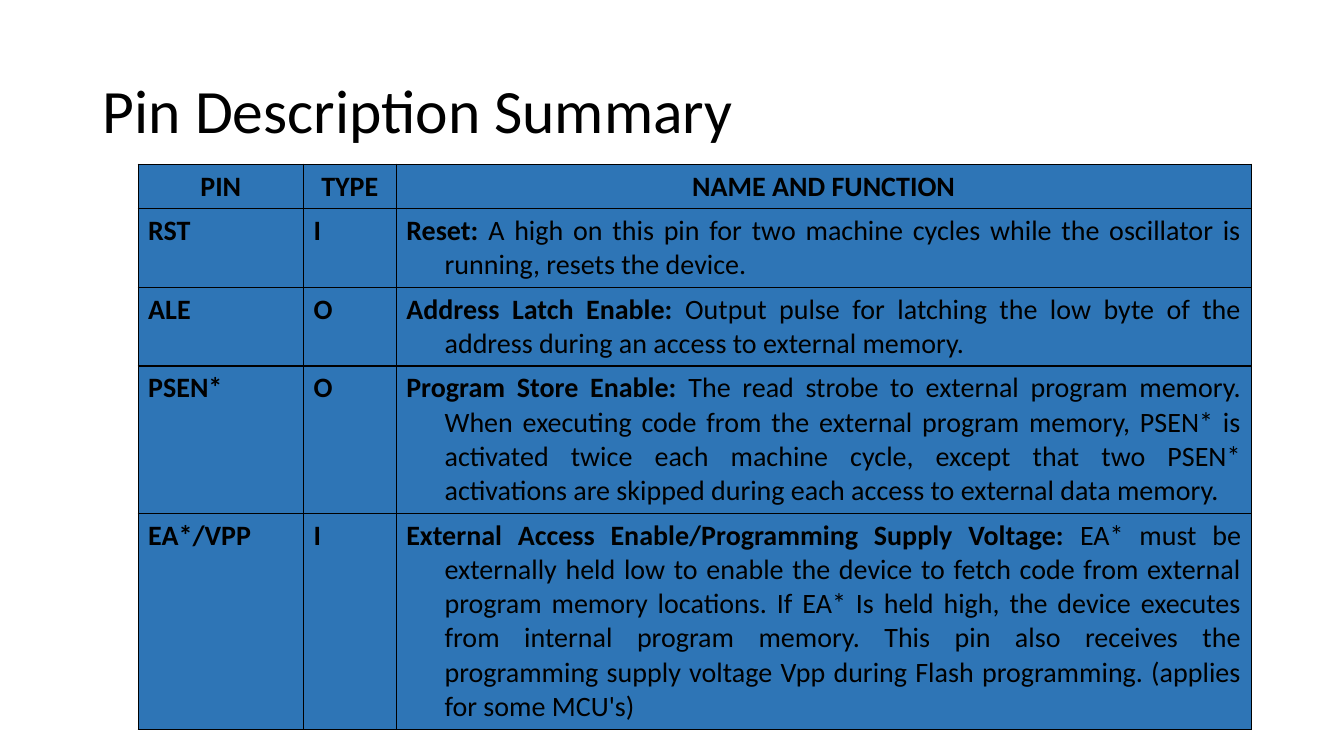
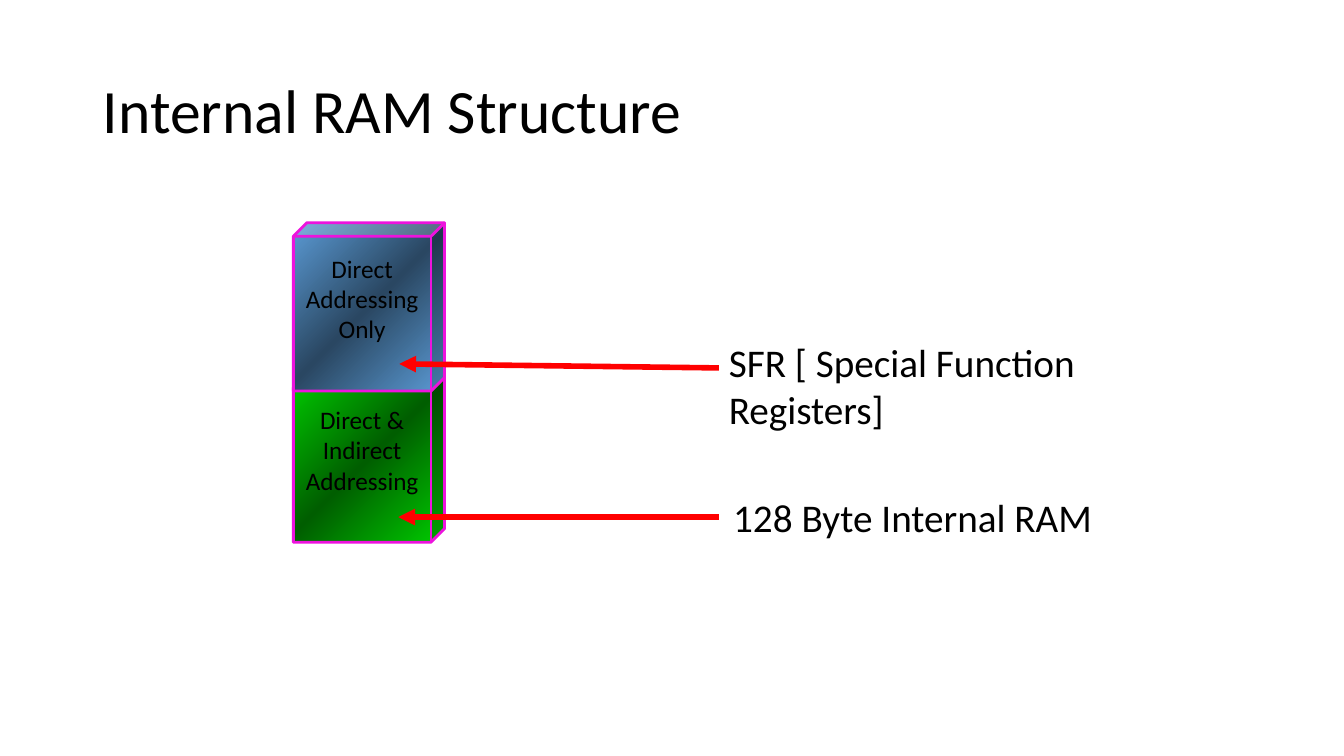
import copy
import pptx
import pptx.util
import pptx.dml.color
import pptx.enum.shapes
import pptx.enum.text
import pptx.oxml
import pptx.oxml.ns

Inches = pptx.util.Inches
Pt = pptx.util.Pt
Align = pptx.enum.text.PP_ALIGN
Anchor = pptx.enum.text.MSO_ANCHOR

COLORS = {
    "ink": "000000", "cell": "2E75B6", "edge": "ED13DD", "arrow": "FF0000",
    "blue": "5B9BD5", "navy": "2A4762", "green": "00CC00", "moss": "005E00",
}


def rgb(name):
    return pptx.dml.color.RGBColor.from_string(COLORS[name])


def node(text):
    return pptx.oxml.parse_xml(text.replace(
        "{ns}", pptx.oxml.ns.nsdecls("a")))


class Deck:
    font = "Calibri"

    def __init__(self):
        self.prs = pptx.Presentation()
        self.prs.slide_width = Inches(13.33)
        self.prs.slide_height = Inches(7.5)
        self.slide = None

    def style(self, para, size, align=Align.LEFT):
        para.alignment = align
        para.font.name = self.font
        para.font.size = Pt(size)
        para.font.color.rgb = rgb("ink")

    def page(self, title):
        self.slide = self.prs.slides.add_slide(self.prs.slide_layouts[5])
        head = self.slide.shapes.title
        head.left, head.top = Inches(0.92), Inches(0.4)
        head.width, head.height = Inches(11.5), Inches(1.45)
        head.text_frame.text = title
        head.text_frame.vertical_anchor = Anchor.MIDDLE
        para = head.text_frame.paragraphs[0]
        self.style(para, 44)
        para.line_spacing = 0.9

    def cell(self, cell, parts, align):
        """Fill one cell; parts are a bold lead and an optional plain rest."""
        para = cell.text_frame.paragraphs[0]
        self.style(para, 20, align)
        props = para._p.get_or_add_pPr()
        props.set("marL", str(Inches(0.38)))
        props.set("indent", str(-Inches(0.38)))
        for i, part in enumerate(parts):
            run = para.add_run()
            run.text = part
            run.font.bold = i == 0
        # Borders come before the fill
        for side in "LRTB":
            cell._tc.get_or_add_tcPr().append(node(
                f'<a:ln{side} {{ns}} w="{Pt(1)}"><a:solidFill>'
                f'<a:srgbClr val="{COLORS["ink"]}"/></a:solidFill></a:ln{side}>'))
        cell.fill.solid()
        cell.fill.fore_color.rgb = rgb("cell")

    def table(self, left, top, widths, heights, rows):
        grid = self.slide.shapes.add_table(
            len(rows), len(widths), Inches(left), Inches(top),
            Inches(sum(widths)), Inches(sum(heights))).table
        grid.horz_banding = False
        for col, width in zip(grid.columns, widths):
            col.width = Inches(width)
        for r, row in enumerate(rows):
            grid.rows[r].height = Inches(heights[r])
            align = Align.JUSTIFY if r else Align.CENTER
            pin, kind, *about = row
            for c, parts in enumerate(([pin], [kind], about)):
                self.cell(grid.cell(r, c), parts, align)

    def cube(self, left, top, lines, light, dark):
        box = self.slide.shapes.add_shape(
            pptx.enum.shapes.MSO_SHAPE.CUBE, Inches(left), Inches(top),
            Inches(1.5), Inches(1.67))
        box.shadow.inherit = False
        box.adjustments[0] = 0.09
        box.line.color.rgb = rgb("edge")
        box.line.width = Pt(2)
        # Light, dark, light along the diagonal
        box.fill.gradient()
        box.fill.gradient_angle = 315
        last = box.fill.gradient_stops[1]._gs
        last.addnext(copy.deepcopy(last))
        for stop, at, name in zip(box.fill.gradient_stops, (0, 0.5, 1),
                                  (light, dark, light)):
            stop.position = at
            stop.color.rgb = rgb(name)
        frame = box.text_frame
        frame.word_wrap = False
        frame.vertical_anchor = Anchor.MIDDLE
        frame.margin_bottom = Inches(0.35)
        frame.text = "\n".join(lines)
        for para in frame.paragraphs:
            self.style(para, 18, Align.CENTER)

    def arrow(self, x1, y1, x2, y2):
        line = self.slide.shapes.add_connector(
            pptx.enum.shapes.MSO_CONNECTOR.STRAIGHT,
            Inches(x1), Inches(y1), Inches(x2), Inches(y2))
        line.line.color.rgb = rgb("arrow")
        line.line.width = Pt(4)
        line.line._get_or_add_ln().append(
            node('<a:tailEnd {ns} type="triangle"/>'))
        line._element.spPr.append(node("<a:effectLst {ns}/>"))

    def label(self, left, top, width, height, text, align=Align.LEFT):
        box = self.slide.shapes.add_textbox(
            Inches(left), Inches(top), Inches(width), Inches(height))
        box.text_frame.word_wrap = True
        box.text_frame.text = text
        self.style(box.text_frame.paragraphs[0], 28, align)


PINS = [
    ("PIN", "TYPE", "NAME AND FUNCTION"),
    ("RST", "I", "Reset: ",
     "A high on this pin for two machine cycles while the oscillator is "
     "running, resets the device. "),
    ("ALE", "O", "Address Latch Enable: ",
     "Output pulse for latching the low byte of the address during an access "
     "to external memory. "),
    ("PSEN*", "O", "Program Store Enable: ",
     "The read strobe to external program memory. When executing code from "
     "the external program memory, PSEN* is activated twice each machine "
     "cycle, except that two PSEN* activations are skipped during each access "
     "to external data memory. "),
    ("EA*/VPP", "I", "External Access Enable/Programming Supply Voltage: ",
     "EA* must be externally held low to enable the device to fetch code from "
     "external program memory locations. If EA* Is held high, the device "
     "executes from internal program memory. This pin also receives the "
     "programming supply voltage Vpp during Flash programming. (applies for "
     "some MCU's)"),
]


def main():
    deck = Deck()

    # Pin table
    deck.page("Pin Description Summary")
    deck.table(1.37, 1.63, (1.64, 0.92, 8.48),
               (0.44, 0.78, 0.78, 1.46, 2.14), PINS)

    # Memory stack, lower block first
    deck.page("Internal RAM Structure")
    deck.cube(2.91, 3.71, ("Direct &", "Indirect", "Addressing"),
              "green", "moss")
    deck.cube(2.91, 2.21, ("Direct", "Addressing", "Only"), "blue", "navy")

    # Arrows and their labels
    deck.arrow(7.13, 3.65, 3.96, 3.61)
    deck.arrow(7.13, 5.13, 3.95, 5.13)
    deck.label(7.13, 3.31, 4.69, 1.04, "SFR [ Special Function Registers]")
    deck.label(6.99, 4.84, 4.12, 0.57, "128 Byte Internal RAM", Align.CENTER)

    deck.prs.save("out.pptx")


if __name__ == "__main__":
    main()
